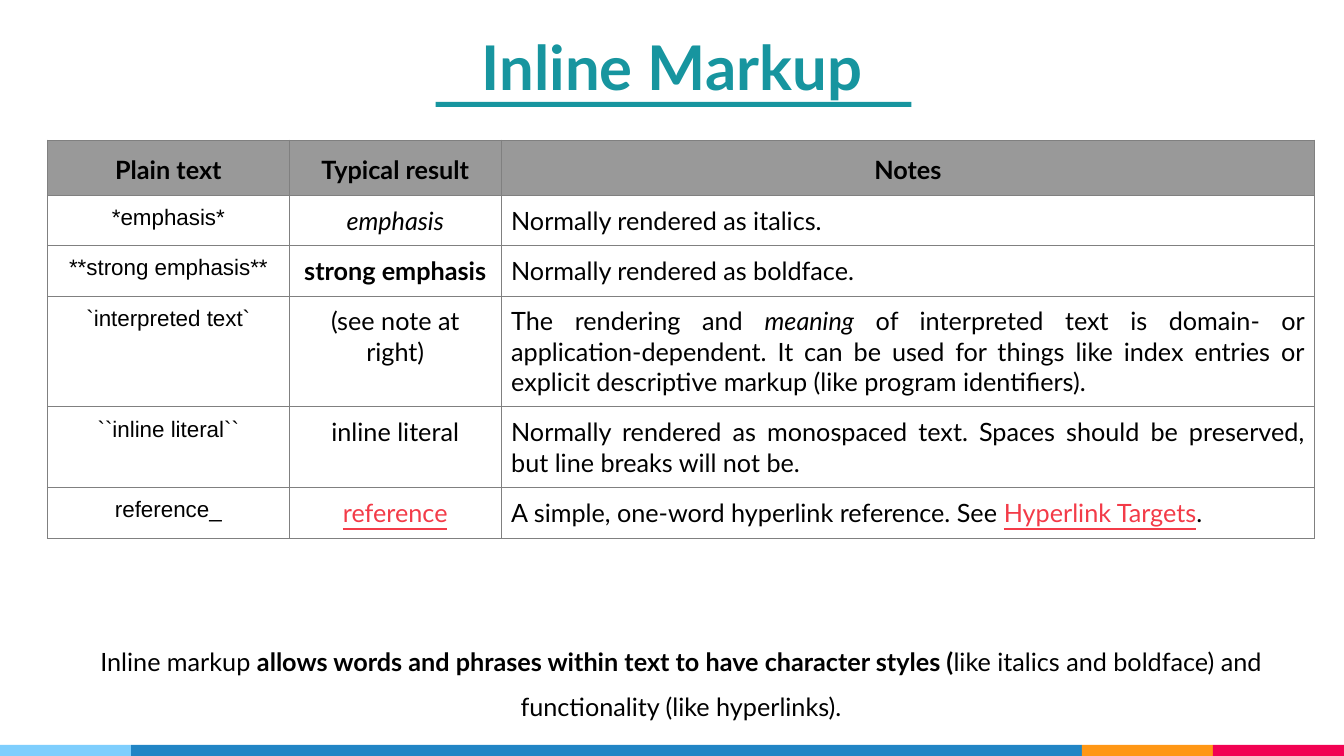
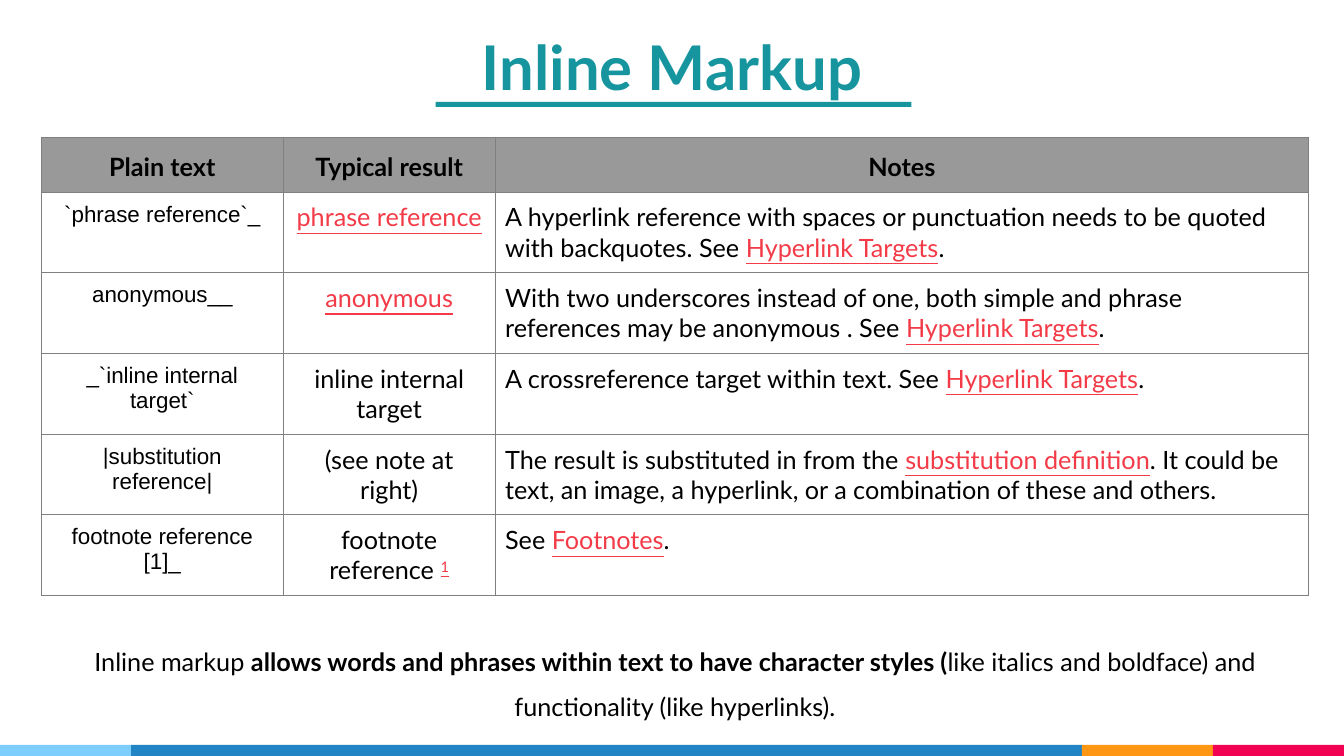
import pptx
import pptx.util
import pptx.dml.color
import pptx.enum.shapes
import pptx.enum.text
import lxml.etree

Inches = pptx.util.Inches
Pt = pptx.util.Pt
RGB = pptx.dml.color.RGBColor
ALIGN = pptx.enum.text.PP_ALIGN
ANCHOR = pptx.enum.text.MSO_ANCHOR

TEAL = RGB(0x17, 0x95, 0x9F)
BLACK = RGB(0x00, 0x00, 0x00)
RED = RGB(0xF3, 0x3B, 0x48)
GREY = RGB(0x99, 0x99, 0x99)
EDGE = RGB(0x80, 0x80, 0x80)
SKY = RGB(0x7E, 0xCE, 0xFD)
BLUE = RGB(0x21, 0x85, 0xC5)
ORANGE = RGB(0xFF, 0x97, 0x15)
PINK = RGB(0xF2, 0x02, 0x53)

BANDS = [(1.3, SKY), (9.43, BLUE), (1.3, ORANGE), (1.3, PINK)]
COLS = [2.4, 2.1, 8.07]
HEAD = ["Plain text", "Typical result", "Notes"]
ROW = 0.42
DRAWING = "http://schemas.openxmlformats.org/drawingml/2006/main"

# A text is a string or a list of parts; a part is a string or (string, style).
TARGETS = ("Hyperlink Targets", "link")
SUMMARY = [
    "Inline markup ",
    ("allows words and phrases within text to have character styles (", "bold"),
    "like italics and boldface) and functionality (like hyperlinks).",
]
STYLES = [
    ("*emphasis*", [("emphasis", "italic")], "Normally rendered as italics."),
    ("**strong emphasis**", [("strong emphasis", "bold")],
     "Normally rendered as boldface."),
    ("`interpreted text`", "(see note at right)",
     ["The rendering and ", ("meaning", "italic"),
      " of interpreted text is domain- or application-dependent. It can be "
      "used for things like index entries or explicit descriptive markup "
      "(like program identifiers)."]),
    ("``inline literal``", "inline literal",
     "Normally rendered as monospaced text. Spaces should be preserved, "
     "but line breaks will not be."),
    ("reference_", [("reference", "link")],
     ["A simple, one-word hyperlink reference. See ", TARGETS, "."]),
]
LINKS = [
    ("`phrase reference`_", [("phrase reference", "link")],
     ["A hyperlink reference with spaces or punctuation needs to be quoted "
      "with backquotes. See ", TARGETS, "."]),
    ("anonymous__", [("anonymous", "link")],
     ["With two underscores instead of one, both simple and phrase "
      "references may be anonymous . See ", TARGETS, "."]),
    ("_`inline internal target`", "inline internal target",
     ["A crossreference target within text. See ", TARGETS, "."]),
    ("|substitution reference|", "(see note at right)",
     ["The result is substituted in from the ",
      ("substitution definition", "link"),
      ". It could be text, an image, a hyperlink, or a combination of these "
      "and others."]),
    ("footnote reference [1]_", ["footnote reference ", ("1", "note")],
     ["See ", ("Footnotes", "link"), "."]),
]


class Deck:
    def __init__(self):
        self.prs = pptx.Presentation()
        self.prs.slide_width = Inches(13.33)
        self.prs.slide_height = Inches(7.5)
        self.slide = None

    def page(self, title):
        """Start a slide with its footer bands and underlined title."""
        self.slide = self.prs.slides.add_slide(self.prs.slide_layouts[6])
        left = 0
        for width, color in BANDS:
            self.bar(left, 7.39, width, 0.11, color)
            left += width
        self.text(0.94, 0.26, 11.45, 0.79, title, inset=(0.05, 0.02),
                  anchor=ANCHOR.MIDDLE, size=44, color=TEAL, bold=True)
        self.bar(4.32, 1.01, 4.72, 0.05, TEAL)

    def bar(self, left, top, width, height, color):
        bar = self.slide.shapes.add_shape(
            pptx.enum.shapes.MSO_SHAPE.RECTANGLE,
            Inches(left), Inches(top), Inches(width), Inches(height))
        bar.shadow.inherit = False
        bar.fill.solid()
        bar.fill.fore_color.rgb = color
        bar.line.fill.background()

    def text(self, left, top, width, height, parts, inset=(0.1, 0.05),
             anchor=ANCHOR.TOP, **look):
        box = self.slide.shapes.add_textbox(
            Inches(left), Inches(top), Inches(width), Inches(height))
        frame = box.text_frame
        frame.word_wrap = True
        frame.vertical_anchor = anchor
        frame.margin_left = frame.margin_right = Inches(inset[0])
        frame.margin_top = frame.margin_bottom = Inches(inset[1])
        self.fill_para(frame.paragraphs[0], parts, **look)

    def fill_para(self, para, parts, size=18, face="Lato", color=BLACK,
                  bold=False, align=ALIGN.CENTER, space=None):
        para.alignment = align
        if space:
            para.line_spacing = space
        para.font.size = Pt(size)
        para.font.name = face
        para.font.bold = bold
        para.font.color.rgb = color
        for part in [parts] if isinstance(parts, str) else parts:
            words, style = (part, None) if isinstance(part, str) else part
            run = para.add_run()
            run.text = words
            if style == "bold":
                run.font.bold = True
            elif style == "italic":
                run.font.italic = True
            elif style in ("link", "note"):
                run.font.color.rgb = RED
                run.font.underline = True
            if style == "note":
                run._r.get_or_add_rPr().set("baseline", "30000")

    def table(self, left, top, rows, align):
        """Add a table with the shared header; align is for its notes."""
        count = len(rows) + 1
        table = self.slide.shapes.add_table(
            count, len(COLS), Inches(left), Inches(top),
            Inches(sum(COLS)), Inches(ROW * count)).table
        table.first_row = table.horz_banding = False
        for col, width in zip(table.columns, COLS):
            col.width = Inches(width)
        looks = [dict(size=16, face="Arial"), {}, dict(align=align)]
        for r, row in enumerate([HEAD] + rows):
            for c, parts in enumerate(row):
                cell = table.cell(r, c)
                self.edge(cell)
                cell.margin_left = cell.margin_right = Inches(0.1)
                cell.margin_top = cell.margin_bottom = Inches(0.1)
                if r == 0:
                    cell.fill.solid()
                    cell.fill.fore_color.rgb = GREY
                    look = dict(bold=True, space=1.15)
                else:
                    cell.fill.background()
                    look = looks[c]
                self.fill_para(cell.text_frame.paragraphs[0], parts, **look)

    def edge(self, cell):
        """Draw the four borders of a cell."""
        props = cell._tc.get_or_add_tcPr()
        for side in ("lnL", "lnR", "lnT", "lnB"):
            line = lxml.etree.SubElement(
                props, f"{{{DRAWING}}}{side}", w=str(Pt(0.75)))
            fill = lxml.etree.SubElement(line, f"{{{DRAWING}}}solidFill")
            lxml.etree.SubElement(fill, f"{{{DRAWING}}}srgbClr", val=str(EDGE))


def main():
    deck = Deck()
    pages = [
        (0.47, 1.39, STYLES, ALIGN.JUSTIFY, 0.27, 12.97),
        (0.41, 1.36, LINKS, ALIGN.LEFT, 0.15, 13.09),
    ]
    for left, top, rows, align, start, width in pages:
        deck.page("Inline Markup")
        deck.table(left, top, rows, align)
        deck.text(start, 6.21, width, 0.8, SUMMARY, space=1.5)
    deck.prs.save("out.pptx")


if __name__ == "__main__":
    main()
